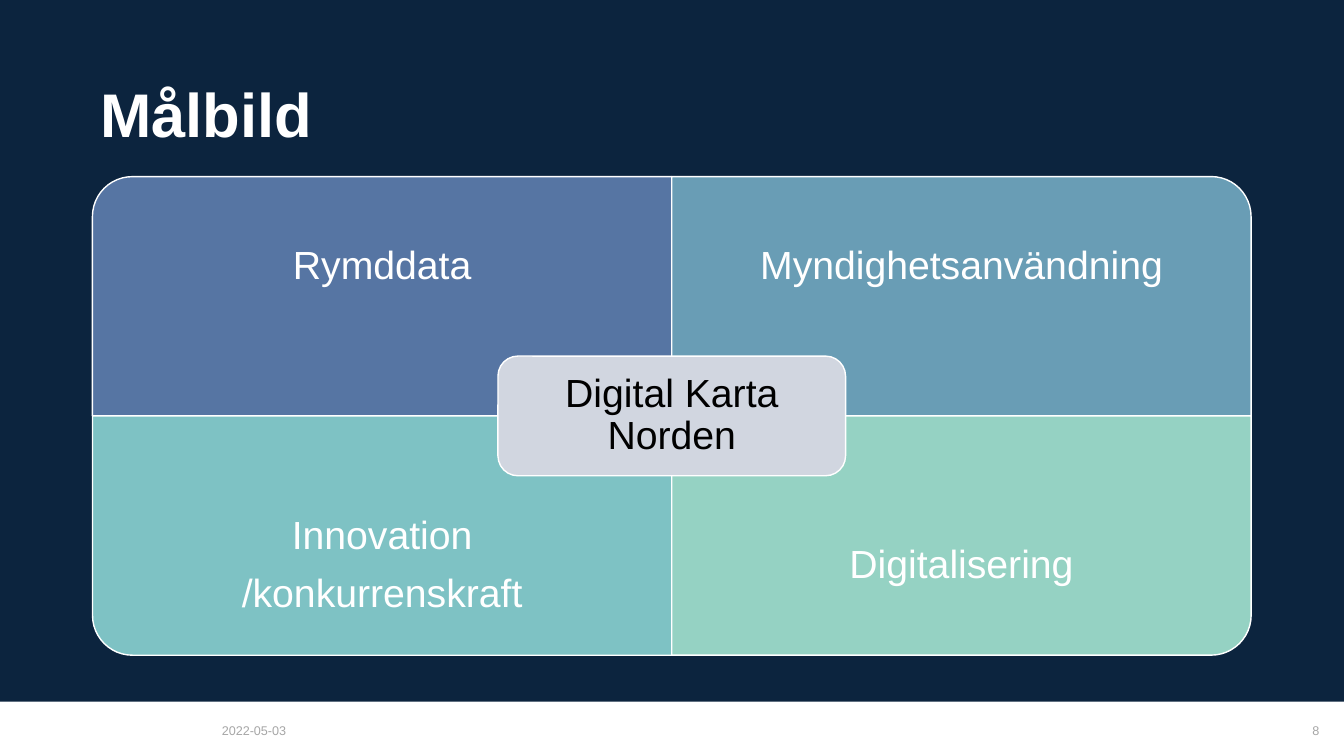
from pptx import Presentation
from pptx.dml.color import RGBColor
from pptx.enum.shapes import MSO_SHAPE
from pptx.enum.text import MSO_ANCHOR, PP_ALIGN
from pptx.util import Cm, Pt

RECT = MSO_SHAPE.RECTANGLE
ROUND_ONE = MSO_SHAPE.ROUND_1_RECTANGLE
ROUNDED = MSO_SHAPE.ROUNDED_RECTANGLE
MIDDLE, BOTTOM = MSO_ANCHOR.MIDDLE, MSO_ANCHOR.BOTTOM
LEFT, CENTER, RIGHT = PP_ALIGN.LEFT, PP_ALIGN.CENTER, PP_ALIGN.RIGHT

COLORS = {
    "navy": "0C243E", "white": "FFFFFF", "black": "000000", "grey": "A6A6A6",
    "blue": "5675A3", "steel": "699DB5", "teal": "7EC2C4", "mint": "95D2C3",
    "pale": "D1D6E0",
}

# Matrix geometry in cm
MATRIX_X, MATRIX_Y = 2.33, 4.45
QUAD_W, QUAD_H = 14.6, 6.03
LABEL_H = QUAD_H * 0.75
HUB_W, HUB_H = QUAD_W * 0.6, QUAD_H / 2

# Column, row, rotation, colour, lines of text
QUADRANTS = [
    (0, 0, 270, "blue", ["Rymddata"]),
    (1, 0, 0, "steel", ["Myndighetsanvändning"]),
    (0, 1, 180, "teal", ["Innovation", "/konkurrenskraft"]),
    (1, 1, 90, "mint", ["Digitalisering"]),
]

LABEL_PARA = {"alignment": CENTER, "line_spacing": 0.9, "space_after": Pt(11)}


def rgb(name):
    return RGBColor.from_string(COLORS[name])


def add_block(s, kind, x, y, w, h, fill, outlined=True, rotation=0):
    sp = s.shapes.add_shape(kind, Cm(x), Cm(y), Cm(w), Cm(h))
    sp.shadow.inherit = False
    sp.rotation = rotation
    sp.fill.solid()
    sp.fill.fore_color.rgb = rgb(fill)
    if outlined:
        sp.line.color.rgb = rgb("white")
        sp.line.width = Pt(1)
    else:
        sp.line.fill.background()


def add_text(s, x, y, w, h, lines, size, color, para, inset=(0.2, 0.2),
             anchor=MIDDLE, bold=False):
    tf = s.shapes.add_textbox(Cm(x), Cm(y), Cm(w), Cm(h)).text_frame
    side, end = map(Cm, inset)
    frame = {"word_wrap": True, "vertical_anchor": anchor,
             "margin_left": side, "margin_right": side,
             "margin_top": end, "margin_bottom": end}
    for name, value in frame.items():
        setattr(tf, name, value)
    for i, line in enumerate(lines):
        p = tf.add_paragraph() if i else tf.paragraphs[0]
        for name, value in para.items():
            setattr(p, name, value)
        r = p.add_run()
        r.text = line
        font = {"name": "Arial", "size": Pt(size), "bold": bold}
        for name, value in font.items():
            setattr(r.font, name, value)
        r.font.color.rgb = rgb(color)


def add_quadrant(s, col, row, rotation, fill, lines):
    x, y = MATRIX_X + col * QUAD_W, MATRIX_Y + row * QUAD_H
    # A quarter turn swaps width and height around the same centre
    w, h = (QUAD_H, QUAD_W) if rotation % 180 else (QUAD_W, QUAD_H)
    add_block(s, ROUND_ONE, x + (QUAD_W - w) / 2, y + (QUAD_H - h) / 2, w, h,
              fill, rotation=rotation)
    # Labels keep clear of the hub in the centre
    add_text(s, x, y + row * (QUAD_H - LABEL_H), QUAD_W, LABEL_H, lines, 28,
             "white", LABEL_PARA, (0.56, 0.56))


def add_hub(s, text):
    x = MATRIX_X + QUAD_W - HUB_W / 2
    y = MATRIX_Y + QUAD_H - HUB_H / 2
    add_block(s, ROUNDED, x, y, HUB_W, HUB_H, "pale")
    add_text(s, x, y, HUB_W, HUB_H, [text], 28, "black", LABEL_PARA,
             (0.45, 0.45))


def add_footer(s, x, w, text, align):
    add_text(s, x, 18.16, w, 0.58, [text], 9, "grey", {"alignment": align},
             (0, 0.13), BOTTOM)


def main():
    prs = Presentation()
    prs.slide_width, prs.slide_height = Cm(33.87), Cm(19.05)
    s = prs.slides.add_slide(prs.slide_layouts[6])

    # Backdrop and title
    add_block(s, RECT, 0, 0, 33.87, 17.68, "navy", outlined=False)
    add_text(s, MATRIX_X, 1.22, 2 * QUAD_W, 3.48, ["Målbild"], 44, "white",
             {"alignment": LEFT, "line_spacing": 0.9}, bold=True)

    # Matrix
    for quadrant in QUADRANTS:
        add_quadrant(s, *quadrant)
    add_hub(s, "Digital Karta Norden")

    # Footer
    add_footer(s, 5.59, 2.03, "2022-05-03", LEFT)
    add_footer(s, 26.92, 6.33, "8", RIGHT)

    prs.save("out.pptx")


if __name__ == "__main__":
    main()
